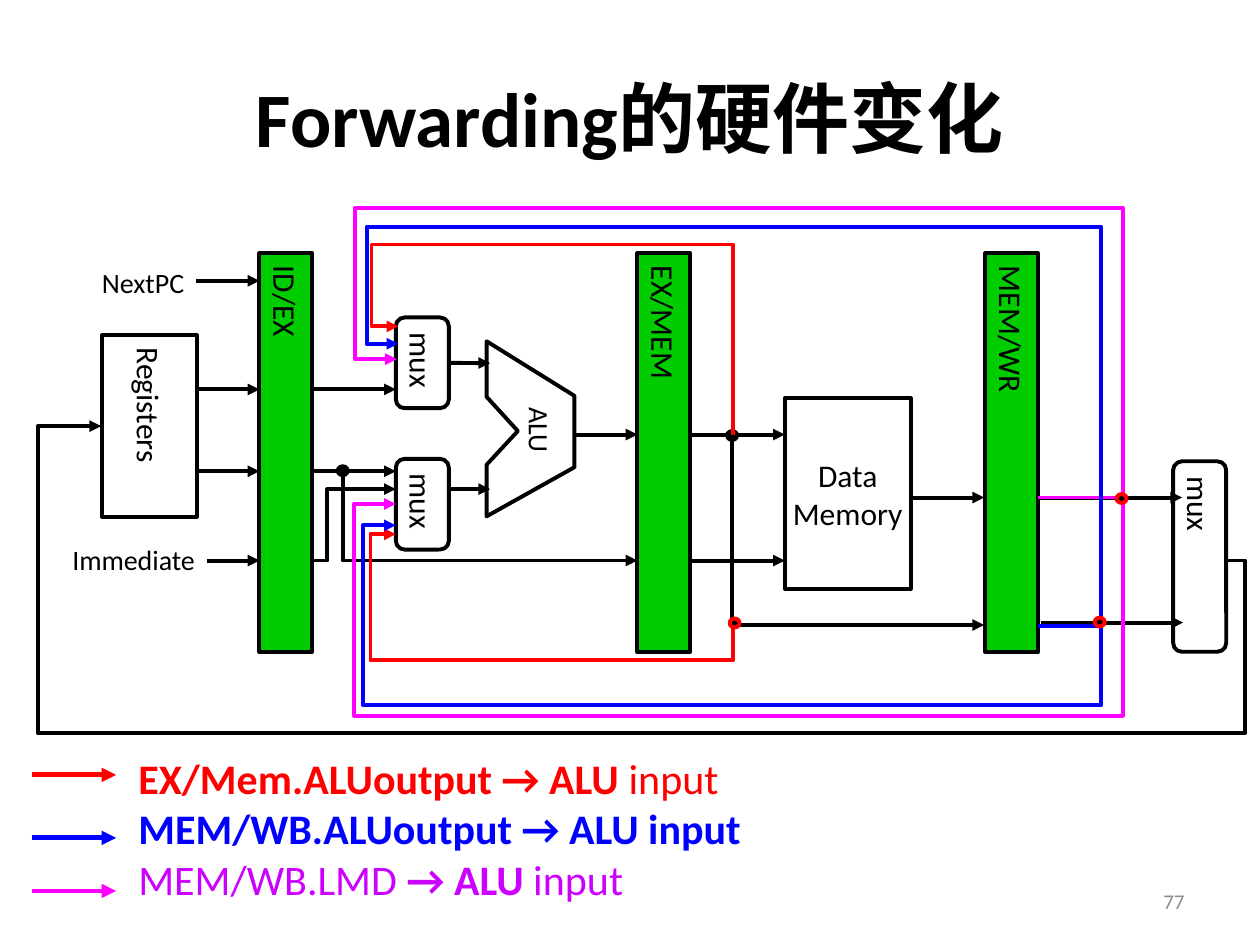
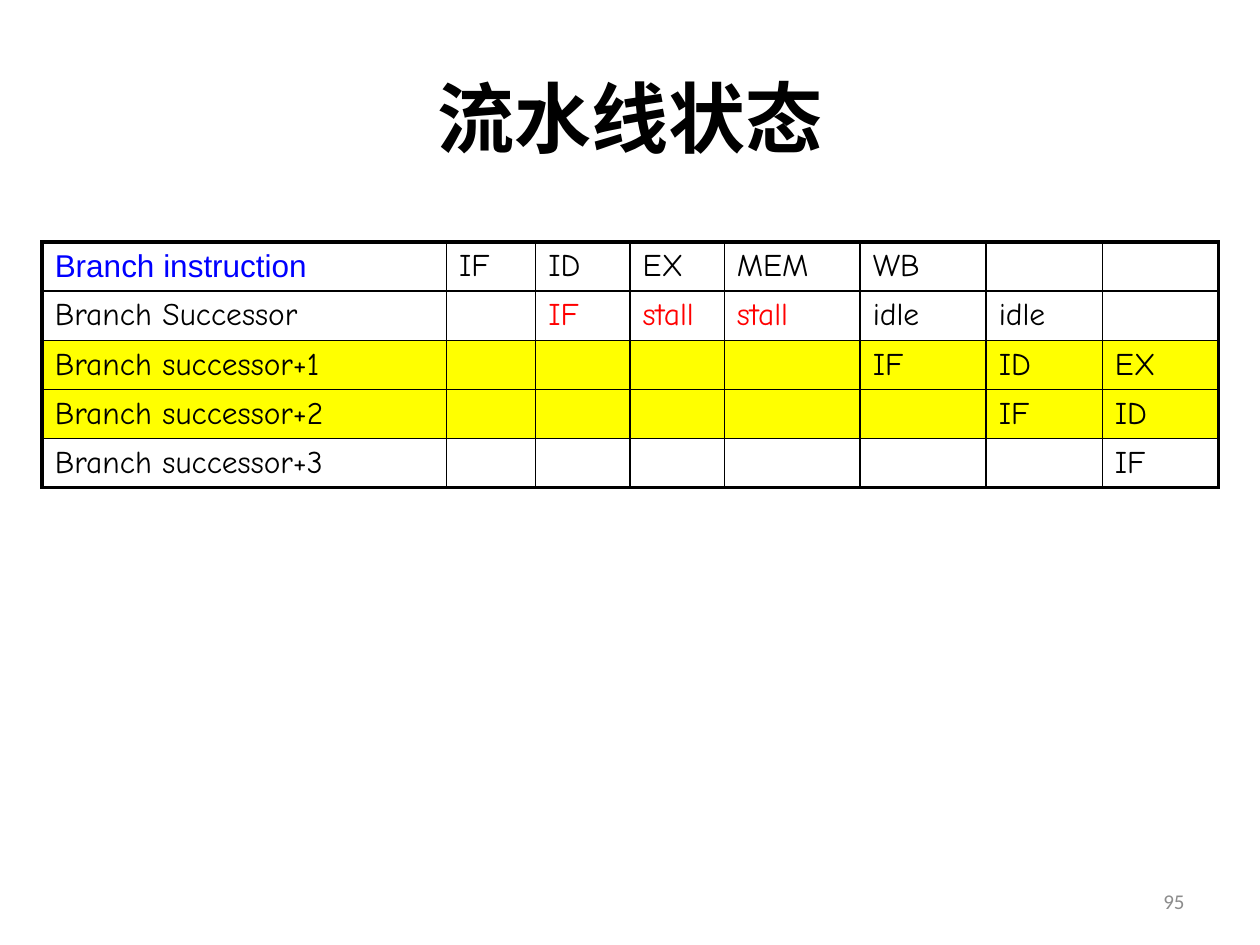
from lxml import etree
from pptx import Presentation
from pptx.dml.color import RGBColor
from pptx.enum import shapes, text
from pptx.oxml.ns import qn
from pptx.util import Cm, Pt

FONT = "Calibri"
BLACK, WHITE, GREY, GREEN = "000000", "FFFFFF", "8C8C8C", "00CC00"
RED, BLUE, PINK, PURPLE, YELLOW = "FF0000", "0000FF", "FF00FF", "CC00FF", "FFFF00"
LEFT, MID, RIGHT = text.PP_ALIGN.LEFT, text.PP_ALIGN.CENTER, text.PP_ALIGN.RIGHT
RECT = shapes.MSO_SHAPE.RECTANGLE
ROUND = shapes.MSO_SHAPE.ROUNDED_RECTANGLE
OVAL = shapes.MSO_SHAPE.OVAL

# All positions are in centimetres.
LATCHES = [("ID/EX", 5.23), ("EX/MEM", 12.85), ("MEM/WR", 19.86)]
LATCH_TOP, LATCH_TALL, SLIM = 5.11, 8.03, 1.07
UNITS = [("Registers", 2.06, 6.76, 1.91, 3.66, True),
         ("Data\nMemory", 15.82, 8.03, 2.54, 3.84, False)]
MUXES = [(7.98, 6.4, 1.83), (7.98, 9.25, 1.83), (23.65, 9.3, 3.84)]
ALU = [(9.81, 6.88), (11.58, 7.98), (11.58, 9.42), (9.81, 10.41),
       (9.81, 9.37), (10.44, 8.69), (9.81, 8)]
LABELS = [("ALU", 10.06, 8.2, 1.65, 90), ("NextPC", 1.63, 5.23, 2.51, 0),
          ("Immediate", 1.02, 10.8, 3.35, 0)]

# Straight wires: y, then the x of both ends
STRAIGHT = [
    (9.86, 9.04, 9.88), (7.85, 3.96, 5.23), (9.5, 3.96, 5.23),
    (7.85, 6.29, 7.98), (9.5, 6.29, 7.98), (5.66, 3.96, 5.23),
    (11.3, 4.17, 5.23), (11.3, 13.9, 15.82), (8.76, 11.58, 12.85),
    (8.76, 13.9, 15.82), (10.03, 18.36, 19.84), (12.55, 20.98, 23.85),
    (10.03, 20.93, 23.83)]
BENT = [
    [(6.29, 11.3), (6.6, 11.3), (6.6, 9.86), (7.98, 9.86)],
    [(6.91, 9.5), (6.91, 11.3), (12.85, 11.3)],
    [(14.76, 8.76), (14.76, 12.6), (19.84, 12.6)],
    [(24.7, 11.3), (25.1, 11.3), (25.1, 14.78), (0.76, 14.78),
     (0.76, 8.59), (2.04, 8.59)]]
FORWARD = [
    (RED, [(14.78, 12.6), (14.78, 13.31), (7.47, 13.31), (7.47, 10.77), (7.98, 10.77)]),
    (PINK, [(22.63, 10.03), (22.63, 4.19), (7.16, 4.19), (7.16, 7.24), (8, 7.24)]),
    (BLUE, [(20.93, 12.62), (22.2, 12.62), (22.2, 14.22), (7.32, 14.22),
            (7.32, 10.59), (7.98, 10.59)]),
    (PINK, [(20.93, 10.03), (22.63, 10.03), (22.63, 14.43), (7.14, 14.43),
            (7.14, 10.16), (7.98, 10.16)]),
    (RED, [(14.78, 8.76), (14.78, 4.93), (7.49, 4.93), (7.49, 6.58), (8.03, 6.58)]),
    (BLUE, [(22.2, 12.6), (22.2, 4.57), (7.39, 4.57), (7.39, 6.93), (8.03, 6.93)])]
FORKS = [(14.76, 8.78), (6.91, 9.49)]
TAPS = [(14.81, 12.56), (22.17, 12.54), (22.61, 10.05)]

LEGEND = [[("EX/Mem.ALUoutput → ALU", RED, True), (" input", RED, False)],
          [("MEM/WB.ALUoutput → ALU input", BLUE, True)],
          [("MEM/WB.LMD ", PURPLE, False), ("→ ALU", PURPLE, True),
           (" input", PURPLE, False)]]
KEYS = [(RED, 15.62), (BLUE, 16.89), (PINK, 17.96)]

COLS = [8.15, 1.8, 1.9, 1.9, 2.74, 2.54, 2.34, 2.34]
ROW = 0.99
# Row name, first busy column, its stages
STATES = [("Branch instruction", 1, ["IF", "ID", "EX", "MEM", "WB"]),
          ("Branch Successor", 2, ["IF", "stall", "stall", "idle", "idle"]),
          ("Branch successor+1", 5, ["IF", "ID", "EX"]),
          ("Branch successor+2", 6, ["IF", "ID"]),
          ("Branch successor+3", 7, ["IF"])]
MARKED = {2, 3}
LATE = {(1, 2), (1, 3), (1, 4)}


def rgb(code):
    return RGBColor.from_string(code)


def style(run, size, color=BLACK, bold=False, face=FONT):
    font = run.font
    font.name, font.size, font.bold = face, Pt(size), bold
    font.color.rgb = rgb(color)


def fill_text(frame, words, size, color=BLACK, bold=False, align=MID):
    frame.text = words
    frame.vertical_anchor = text.MSO_ANCHOR.MIDDLE
    for para in frame.paragraphs:
        para.alignment = align
        for run in para.runs:
            style(run, size, color, bold)


def label(slide, words, x, y, w, h, size, color=BLACK, bold=False, align=MID, wrap=True):
    box = slide.shapes.add_textbox(Cm(x), Cm(y), Cm(w), Cm(h))
    box.text_frame.word_wrap = wrap
    fill_text(box.text_frame, words, size, color, bold, align)
    return box


def paint(shape, fill=None, line=BLACK):
    shape.shadow.inherit = False
    if fill:
        shape.fill.solid()
        shape.fill.fore_color.rgb = rgb(fill)
    else:
        shape.fill.background()
    shape.line.color.rgb = rgb(line)
    shape.line.width = Pt(2.25)


def block(slide, kind, words, x, y, w, h, fill=None, down=True):
    """Outlined unit; its words run downwards if down is set."""
    shape = slide.shapes.add_shape(kind, Cm(x), Cm(y), Cm(w), Cm(h))
    paint(shape, fill)
    frame = shape.text_frame
    frame.word_wrap = False
    fill_text(frame, words, 18)
    if down:
        frame._txBody.bodyPr.set("vert", "eaVert")
    return shape


def outline(slide, points, color=BLACK, close=False):
    (x, y), *rest = [(Cm(a), Cm(b)) for a, b in points]
    pen = slide.shapes.build_freeform(x, y)
    pen.add_line_segments(rest, close=close)
    shape = pen.convert_to_shape()
    paint(shape, None, color)
    return shape


def tip(shape):
    """Put an arrowhead on the far end."""
    line = shape.line._get_or_add_ln()
    etree.SubElement(line, qn("a:tailEnd")).set("type", "triangle")


def arrow(slide, y, start, end, color=BLACK, width=2.25):
    wire = slide.shapes.add_connector(
        shapes.MSO_CONNECTOR.STRAIGHT, Cm(start), Cm(y), Cm(end), Cm(y))
    wire.line.color.rgb = rgb(color)
    wire.line.width = Pt(width)
    tip(wire)
    etree.SubElement(wire._element.spPr, qn("a:effectLst"))
    return wire


def dots(slide, places, ring):
    for x, y in places:
        dot = slide.shapes.add_shape(OVAL, Cm(x - 0.1), Cm(y - 0.09), Cm(0.2), Cm(0.18))
        paint(dot, BLACK, ring)


def page(deck, title, number):
    slide = deck.slides.add_slide(deck.slide_layouts[6])
    slide.background.fill.solid()
    slide.background.fill.fore_color.rgb = rgb(WHITE)
    label(slide, title, 1.27, 0.76, 22.86, 3.18, 44, bold=True)
    label(slide, number, 18.2, 17.66, 5.93, 1.01, 12, GREY, align=RIGHT)
    return slide


def draw_path(slide):
    for words, x in LATCHES:
        block(slide, RECT, words, x, LATCH_TOP, SLIM, LATCH_TALL, GREEN)
    for words, x, y, w, h, down in UNITS:
        block(slide, RECT, words, x, y, w, h, down=down)
    muxes = [block(slide, ROUND, "mux", x, y, SLIM, h) for x, y, h in MUXES]
    outline(slide, ALU, close=True)
    for words, x, y, w, turn in LABELS:
        label(slide, words, x, y, w, 0.94, 16, wrap=False).rotation = turn

    arrow(slide, 7.32, 9.04, 9.88).begin_connect(muxes[0], 3)
    for wire in STRAIGHT:
        arrow(slide, *wire)
    for points in BENT:
        tip(outline(slide, points))
    dots(slide, FORKS, BLACK)
    for color, points in FORWARD:
        tip(outline(slide, points, color))
    dots(slide, TAPS, RED)


def draw_key(slide):
    for color, y in KEYS:
        arrow(slide, y, 0.64, 2.34, color, 2.75)
    box = slide.shapes.add_textbox(Cm(2.54), Cm(15.04), Cm(14.66), Cm(3.3))
    frame = box.text_frame
    frame.word_wrap = False
    for i, parts in enumerate(LEGEND):
        para = frame.add_paragraph() if i else frame.paragraphs[0]
        para.alignment = LEFT
        for words, color, bold in parts:
            run = para.add_run()
            run.text = words
            style(run, 24, color, bold)


def edge(cell, side, width):
    line = etree.SubElement(cell._tc.get_or_add_tcPr(), qn("a:ln" + side))
    line.set("w", str(Pt(width)))
    fill = etree.SubElement(line, qn("a:solidFill"))
    etree.SubElement(fill, qn("a:srgbClr")).set("val", BLACK)


def draw_states(slide):
    rows, cols = len(STATES), len(COLS)
    grid = slide.shapes.add_table(rows, cols, Cm(0.85), Cm(4.88),
                                  Cm(sum(COLS)), Cm(ROW * rows)).table
    grid.first_row = grid.horz_banding = False
    for col, w in zip(grid.columns, COLS):
        col.width = Cm(w)
    for r, (name, first, stages) in enumerate(STATES):
        grid.rows[r].height = Cm(ROW)
        words = {0: name, **dict(enumerate(stages, first))}
        for c in range(cols):
            cell = grid.cell(r, c)
            outer = {"L": c == 0, "R": c == cols - 1, "T": r == 0, "B": r == rows - 1}
            for side, rim in outer.items():
                edge(cell, side, 2.25 if rim else 1)
            if r in MARKED:
                cell.fill.solid()
                cell.fill.fore_color.rgb = rgb(YELLOW)
            else:
                cell.fill.background()
            cell.margin_top = cell.margin_bottom = Cm(0.05)
            cell.vertical_anchor = text.MSO_ANCHOR.MIDDLE
            if c in words:
                cell.text_frame.text = words[c]
                head = (r, c) == (0, 0)
                color = BLUE if head else RED if (r, c) in LATE else BLACK
                style(cell.text_frame.paragraphs[0].runs[0], 18, color,
                      face="Arial" if head else "Comic Neue")


def main():
    deck = Presentation()
    deck.slide_width, deck.slide_height = Cm(25.4), Cm(19.05)
    slide = page(deck, "Forwarding的硬件变化", "77")
    draw_path(slide)
    draw_key(slide)
    draw_states(page(deck, "流水线状态", "95"))
    deck.save("out.pptx")


if __name__ == "__main__":
    main()
